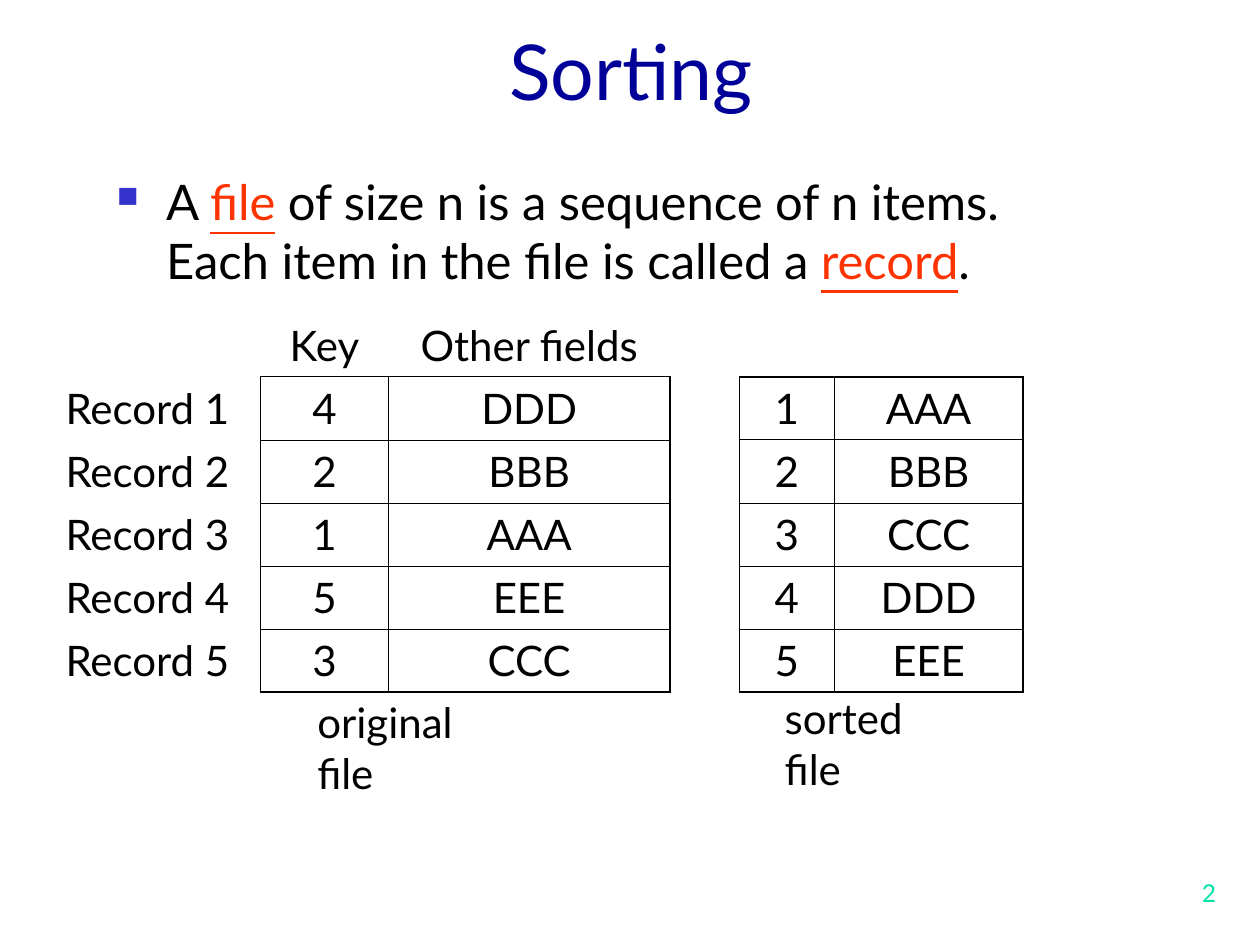
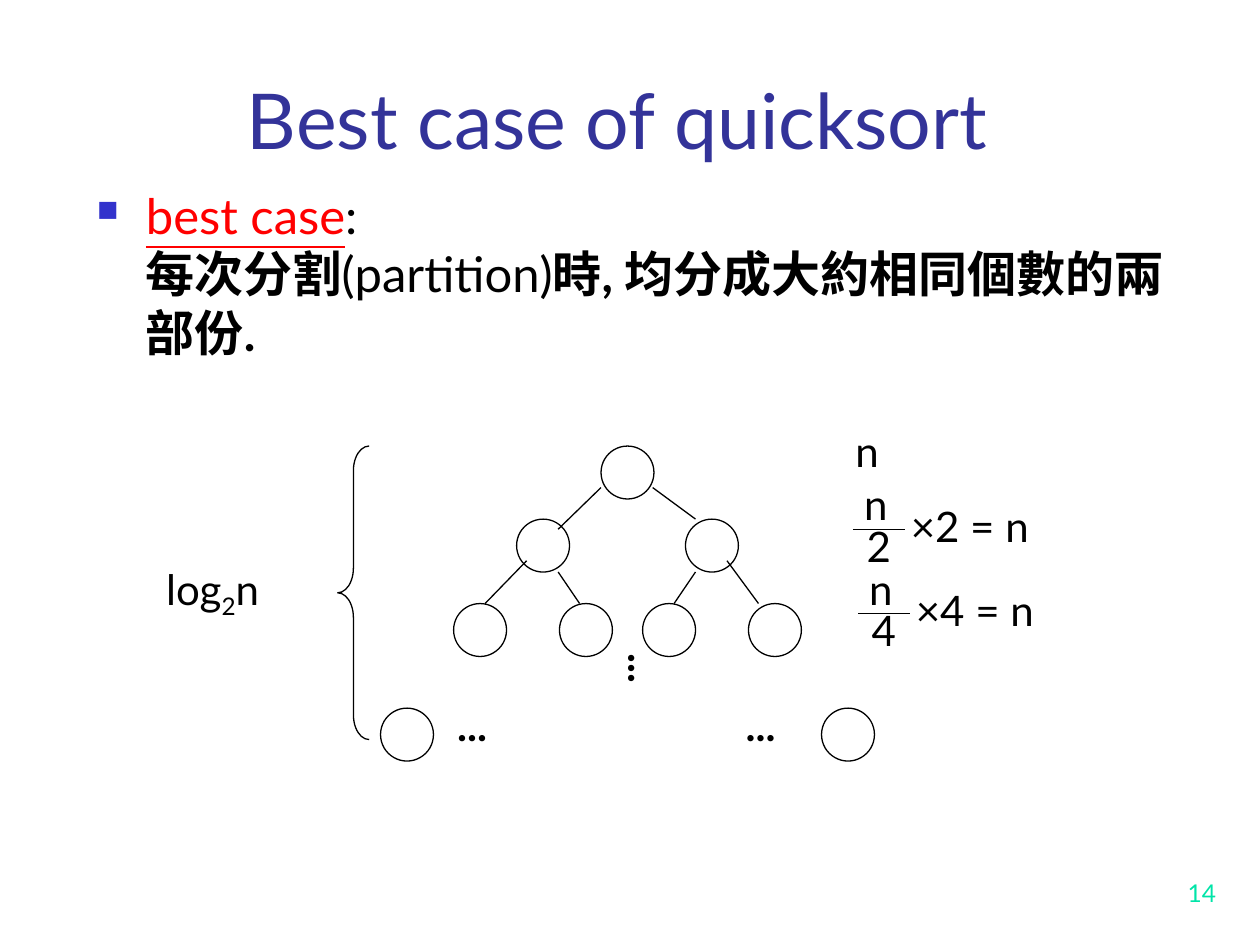
from dataclasses import dataclass, field

from lxml import etree
from pptx import Presentation
from pptx.dml.color import RGBColor
from pptx.enum.shapes import MSO_CONNECTOR, MSO_SHAPE
from pptx.enum.text import MSO_ANCHOR, MSO_AUTO_SIZE, PP_ALIGN
from pptx.oxml.ns import qn
from pptx.util import Inches, Pt

STRAIGHT = MSO_CONNECTOR.STRAIGHT
OVAL, LEFT_BRACE = MSO_SHAPE.OVAL, MSO_SHAPE.LEFT_BRACE
TOP, BOTTOM = MSO_ANCHOR.TOP, MSO_ANCHOR.BOTTOM
FIT_SHAPE, NO_FIT = MSO_AUTO_SIZE.SHAPE_TO_FIT_TEXT, MSO_AUTO_SIZE.NONE
LEFT, CENTER, RIGHT = PP_ALIGN.LEFT, PP_ALIGN.CENTER, PP_ALIGN.RIGHT

FONT = "Lato"
BLACK, RED, ORANGE = "000000", "FF0000", "FF3300"
BULLET_BLUE, PAGE_GREEN = "3333CC", "00E4A8"
TITLE_SIZE, BODY_SIZE, LABEL_SIZE, PAGE_SIZE = 44, 28, 24, 14
THIN, THICK = 0.45, 1.08
LINE_WIDTH = 0.75
HANGING = 0.39
NO_STYLE = "{2D5ABB26-0587-4C30-8999-92F81FD0307C}"

CIRCLE = 0.42
TREE_AXIS = 4.98


@dataclass
class Span:
    text: str
    color: str = BLACK
    format: dict = field(default_factory=dict)
    baseline: int = 0


@dataclass
class Para:
    spans: list[Span]
    bullet: bool = False


@dataclass
class RecordTable:
    left: float
    top: float
    widths: list[float]
    rows: list[list[str]]
    first_row: int
    first_column: int
    thick_sides: str


def rgb(value: str) -> RGBColor:
    return RGBColor.from_string(value)


def lengths(*values: float) -> list:
    return [Inches(value) for value in values]


def add_spans(para, spans: list[Span], size: float) -> None:
    for item in spans:
        span = para.add_run()
        span.text = item.text
        for name, value in {"name": FONT, "size": Pt(size), **item.format}.items():
            setattr(span.font, name, value)
        span.font.color.rgb = rgb(item.color)
        if item.baseline:
            span._r.get_or_add_rPr().set("baseline", str(item.baseline * 1000))


def set_hanging(para, bullet: bool) -> None:
    properties = para._p.get_or_add_pPr()
    properties.set("marL", str(Inches(HANGING)))
    properties.set("indent", str(Inches(-HANGING) if bullet else 0))
    if bullet:
        color = etree.SubElement(properties, qn("a:buClr"))
        etree.SubElement(color, qn("a:srgbClr")).set("val", BULLET_BLUE)
        etree.SubElement(properties, qn("a:buSzPct")).set("val", "60000")
        etree.SubElement(properties, qn("a:buChar")).set("char", "■")


def add_title(page, text: str, color: str, left: float, top: float, width: float) -> None:
    title = page.shapes.title
    title.left, title.top, title.width, title.height = lengths(left, top, width, 1)
    frame = title.text_frame
    frame.auto_size, frame.vertical_anchor = NO_FIT, BOTTOM
    frame.paragraphs[0].alignment = CENTER
    add_spans(frame.paragraphs[0], [Span(text, color)], TITLE_SIZE)


def add_body(page, left: float, top: float, width: float, height: float,
             paras: list[Para]) -> None:
    frame = page.shapes.add_textbox(*lengths(left, top, width, height)).text_frame
    frame.word_wrap = True
    for index, item in enumerate(paras):
        para = frame.add_paragraph() if index else frame.paragraphs[0]
        set_hanging(para, item.bullet)
        add_spans(para, item.spans, BODY_SIZE)


def add_label(page, left: float, top: float, width: float, *spans: Span,
              height: float = 0.5):
    """Add one unwrapped line of text and return its text frame."""
    frame = page.shapes.add_textbox(*lengths(left, top, width, height)).text_frame
    frame.word_wrap, frame.auto_size = False, FIT_SHAPE
    add_spans(frame.paragraphs[0], list(spans), LABEL_SIZE)
    return frame


def add_page_number(page, number: int) -> None:
    frame = page.shapes.add_textbox(*lengths(7.67, 6.75, 2.08, 0.5)).text_frame
    frame.word_wrap, frame.vertical_anchor = True, BOTTOM
    frame.paragraphs[0].alignment = RIGHT
    add_spans(frame.paragraphs[0], [Span(str(number), PAGE_GREEN)], PAGE_SIZE)


def add_line(page, x1: float, y1: float, x2: float, y2: float) -> None:
    line = page.shapes.add_connector(STRAIGHT, *lengths(x1, y1, x2, y2))
    line.line.color.rgb, line.line.width = rgb(BLACK), Pt(LINE_WIDTH)
    etree.SubElement(line._element.spPr, qn("a:effectLst"))


def add_outline(page, kind, left: float, top: float, width: float, height: float):
    shape = page.shapes.add_shape(kind, *lengths(left, top, width, height))
    shape.shadow.inherit = False
    shape.fill.background()
    shape.line.color.rgb, shape.line.width = rgb(BLACK), Pt(LINE_WIDTH)
    return shape


def set_borders(cell, widths: dict[str, float]) -> None:
    properties = cell._tc.get_or_add_tcPr()
    for side, width in widths.items():
        line = etree.SubElement(properties, qn(f"a:ln{side}"))
        line.set("w", str(Pt(width)))
        fill = etree.SubElement(line, qn("a:solidFill"))
        etree.SubElement(fill, qn("a:srgbClr")).set("val", BLACK)


def add_records(page, records: RecordTable) -> None:
    rows, columns = len(records.rows), len(records.widths)
    frame = page.shapes.add_table(rows, columns, *lengths(
        records.left, records.top, sum(records.widths), 0.5 * rows))
    table = frame.table
    table.first_row = table.horz_banding = False
    table._tbl.tblPr.find(qn("a:tableStyleId")).text = NO_STYLE
    for column, width in zip(table.columns, records.widths):
        column.width = Inches(width)
    for r, texts in enumerate(records.rows):
        for c, text in enumerate(texts):
            cell = table.cell(r, c)
            if r >= records.first_row and c >= records.first_column:
                outer = {"L": c == records.first_column, "R": c == columns - 1,
                         "T": r == records.first_row, "B": r == rows - 1}
                set_borders(cell, {
                    side: THICK if edge and side in records.thick_sides else THIN
                    for side, edge in outer.items()})
            cell.fill.background()
            cell.vertical_anchor = TOP
            para = cell.text_frame.paragraphs[0]
            para.alignment = CENTER
            if text:
                add_spans(para, [Span(text)], LABEL_SIZE)


def add_fraction(page, left: float, bar_y: float, count: str) -> None:
    """Write n over count, times count, equals n."""
    add_label(page, left + 0.36, bar_y - 0.28, 1.15, Span(f"×{count} = n"))
    add_label(page, left - 0.01, bar_y - 0.45, 0.4, Span("n"))
    add_label(page, left + 0.01, bar_y - 0.12, 0.39, Span(count))
    add_line(page, left, bar_y, left + 0.41, bar_y)


def build_sorting(page) -> None:
    underlined = {"underline": True}
    add_title(page, "Sorting", "000099", 0.75, -0.03, 8.52)
    add_body(page, 0.83, 1.31, 8, 1.04, [Para([
        Span("A "), Span("file", ORANGE, underlined),
        Span(" of size n is a sequence of n items. "
             "Each item in the file is called a "),
        Span("record", ORANGE, underlined), Span(".")], bullet=True)])

    fields = {"4": "DDD", "2": "BBB", "1": "AAA", "5": "EEE", "3": "CCC"}
    original = [["", "Key", "Other fields"]]
    original += [[f"Record {number}", key, value]
                 for number, (key, value) in enumerate(fields.items(), 1)]
    ordered = [list(record) for record in sorted(fields.items())]
    add_records(page, RecordTable(0.27, 2.49, [1.8, 1.01, 2.24], original, 1, 1, "RB"))
    add_records(page, RecordTable(5.87, 2.99, [0.75, 1.5], ordered, 0, 0, "LRTB"))
    add_label(page, 2.42, 5.48, 1.8, Span("original file"))
    add_label(page, 6.13, 5.45, 1.66, Span("sorted file"))


def build_best_case(page) -> None:
    bold = {"bold": True}
    add_title(page, "Best case of quicksort", "333399", 0.61, 0.36, 8.58)
    add_body(page, 0.67, 1.42, 8.88, 1.97, [
        Para([Span("best case", RED, {"underline": True}), Span(":")], bullet=True),
        Para([Span("每次分割", format=bold), Span("(partition)"),
              Span("時, 均分成大約相同個數的兩部份.", format=bold)])])

    levels = {3.54: [0], 4.12: [0.67], 4.79: [0.33, 1.17], 5.62: [1.75]}
    for top, distances in levels.items():
        centers = {TREE_AXIS + sign * distance
                   for distance in distances for sign in (-1, 1)}
        for center in sorted(centers):
            add_outline(page, OVAL, center - CIRCLE / 2, top, CIRCLE, CIRCLE)

    branches = [(4.43, 4.2, 4.77, 3.87), (5.18, 3.87, 5.52, 4.12),
                (3.85, 4.79, 4.18, 4.45), (4.43, 4.54, 4.6, 4.79),
                (5.52, 4.54, 5.35, 4.79), (5.77, 4.45, 6.02, 4.79)]
    for branch in branches:
        add_line(page, *branch)

    for left in (3.53, 5.82):
        add_label(page, left, 5.5, 0.48, Span("...", format=bold))
    more_levels = add_label(page, 4.77, 5.09, 0.6, Span("...", format=bold), height=0.7)
    more_levels.word_wrap = True
    more_levels.margin_left = more_levels.margin_right = Inches(0.05)
    more_levels.margin_top = more_levels.margin_bottom = Inches(0.1)
    more_levels._txBody.bodyPr.set("vert", "eaVert")

    brace = add_outline(page, LEFT_BRACE, 2.68, 3.54, 0.25, 2.33)
    brace.adjustments[0] = 0.78
    add_label(page, 1.22, 4.42, 1.01, Span("log"), Span("2", baseline=-25), Span("n"),
              height=0.56)
    add_label(page, 6.69, 3.33, 0.4, Span("n"))
    add_fraction(page, 6.77, 4.2, "2")
    add_fraction(page, 6.81, 4.87, "4")


def main() -> None:
    deck = Presentation()
    deck.slide_width, deck.slide_height = lengths(10, 7.5)
    title_only = deck.slide_layouts[5]
    for build, number in ((build_sorting, 2), (build_best_case, 14)):
        page = deck.slides.add_slide(title_only)
        build(page)
        add_page_number(page, number)
    deck.save("out.pptx")


if __name__ == "__main__":
    main()
